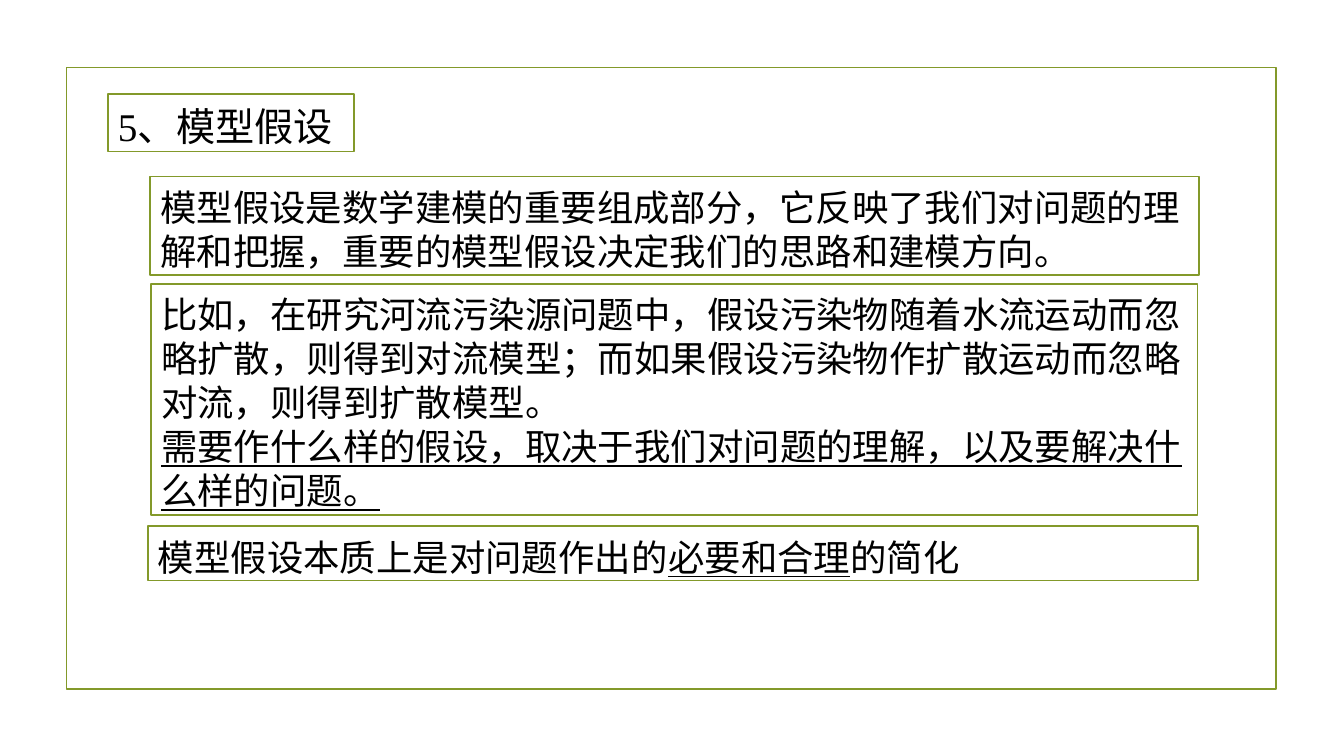
from lxml.etree import SubElement
from pptx import Presentation
from pptx.dml.color import RGBColor
from pptx.enum.shapes import MSO_SHAPE
from pptx.enum.text import MSO_ANCHOR, MSO_AUTO_SIZE, PP_ALIGN
from pptx.oxml.ns import qn
from pptx.util import Cm, Pt

OLIVE = RGBColor(0x83, 0x99, 0x2A)
WHITE = RGBColor(0xFF, 0xFF, 0xFF)
BLACK = RGBColor(0x00, 0x00, 0x00)
LATIN_FONT = "Times New Roman"
CJK_FONT = "Noto Sans CJK JP"


def place(sp, left, top, width, height):
    sp.left, sp.top, sp.width, sp.height = map(Cm, (left, top, width, height))


def outline(sp):
    sp.line.color.rgb = OLIVE
    sp.line.width = Pt(1.25)


def add_rect(s, left, top, width, height):
    sp = s.shapes.add_shape(MSO_SHAPE.RECTANGLE, Cm(left), Cm(top), Cm(width), Cm(height))
    sp.shadow.inherit = False
    sp.fill.background()
    outline(sp)
    return sp


def add_run(p, text, size, font, underline):
    r = p.add_run()
    r.text = text
    r.font.size = Pt(size)
    r.font.name = font
    r.font.color.rgb = BLACK
    r.font.underline = underline
    # East Asian typeface
    SubElement(r.font._element, qn("a:ea")).set("typeface", CJK_FONT)


def fill_box(sp, paragraphs, size, font=LATIN_FONT):
    """Each paragraph is a list of (text, underlined) runs."""
    sp.fill.solid()
    sp.fill.fore_color.rgb = WHITE
    outline(sp)
    tf = sp.text_frame
    tf.word_wrap = True
    tf.auto_size = MSO_AUTO_SIZE.NONE
    tf.vertical_anchor = MSO_ANCHOR.TOP
    tf.margin_left = tf.margin_right = Cm(0.25)
    tf.margin_top, tf.margin_bottom = Cm(0.21), Cm(0)
    for i, runs in enumerate(paragraphs):
        p = tf.paragraphs[0] if i == 0 else tf.add_paragraph()
        p.alignment = PP_ALIGN.LEFT
        p.line_spacing = Pt(round(size * 1.205, 1))
        p.space_before = p.space_after = Pt(0)
        for text, underline in runs:
            add_run(p, text, size, font, underline)


def main():
    prs = Presentation()
    prs.slide_width, prs.slide_height = Cm(33.87), Cm(19.05)
    s = prs.slides.add_slide(prs.slide_layouts[5])

    # Page frame
    add_rect(s, 1.68, 1.7, 30.48, 15.67)

    # Heading
    title = s.shapes.title
    place(title, 2.72, 2.37, 6.2, 1.45)
    fill_box(title, [[("5、模型假设", False)]], 28)

    # Meaning of assumptions
    meaning = add_rect(s, 3.79, 4.45, 26.42, 2.49)
    fill_box(meaning, [[("模型假设是数学建模的重要组成部分，它反映了我们对问题的理解和把握，"
                         "重要的模型假设决定我们的思路和建模方向。", False)]], 26)

    # Example
    example = add_rect(s, 3.81, 7.16, 26.37, 5.82)
    fill_box(example, [
        [("比如，在研究河流污染源问题中，假设污染物随着水流运动而忽略扩散，则得到对流模型；"
          "而如果假设污染物作扩散运动而忽略对流，则得到扩散模型。", False)],
        [("需要作什么样的假设，取决于我们对问题的理解，以及要解决什么样的问题。", True)],
    ], 26)

    # Conclusion
    conclusion = add_rect(s, 3.73, 13.26, 26.47, 1.37)
    fill_box(conclusion, [[("模型假设本质上是对问题作出的", False),
                           ("必要和合理", True),
                           ("的简化", False)]], 26, CJK_FONT)

    prs.save("out.pptx")


if __name__ == "__main__":
    main()
